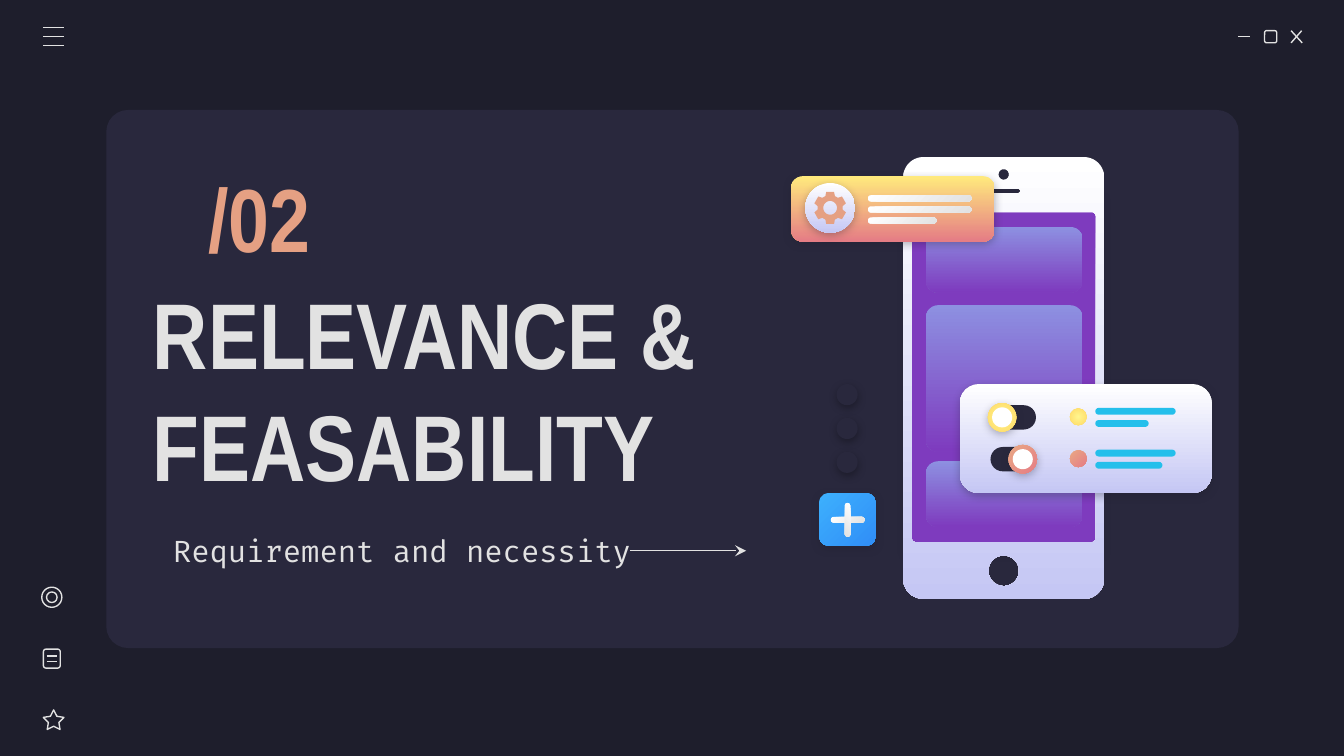
import math
from dataclasses import dataclass

import lxml.etree
import pptx
import pptx.dml.color
import pptx.enum.shapes
import pptx.enum.text
import pptx.oxml
import pptx.oxml.ns
import pptx.util

Cm, Pt = pptx.util.Cm, pptx.util.Pt
KIND = pptx.enum.shapes.MSO_SHAPE
ALIGN = pptx.enum.text.PP_ALIGN
NS = pptx.oxml.ns.nsdecls("a")
qn = pptx.oxml.ns.qn


@dataclass(frozen=True)
class Theme:
    back: str = "1E1E2C"
    panel: str = "29283D"
    light: str = "E2E2E2"
    accent: str = "E5A083"
    white: str = "FFFFFF"
    purple: str = "7E3BBE"
    cyan: str = "24BFEB"
    # Gradients: first colour, last colour, clockwise angle (None is radial)
    card: tuple = ("8D90E1", "7E3BBE", 90)
    pale: tuple = ("FFFFFF", "C5C7F4", 90)
    sunset: tuple = ("FFEA7D", "E57C85", 90)
    bar: tuple = ("FFFFFF", "E2E2E2", 45)
    yellow: tuple = ("FFF68E", "FFD966", None)
    coral: tuple = ("E9A984", "E57C85", 45)
    blue: tuple = ("3DB0FD", "308EF7", 45)
    heading: str = "Arial Narrow"
    mono: str = "Fira Code"
    title_size: float = 50
    number_size: float = 48
    subtitle_size: float = 16
    line_width: float = 0.75


def rgb(value):
    return pptx.dml.color.RGBColor.from_string(value)


def rounded_outline(left, top, width, height, radius):
    """Clockwise points of a rounded rectangle."""
    right, bottom = left + width - radius, top + height - radius
    left, top = left + radius, top + radius
    corners = [(left, top, 180), (right, top, 270), (right, bottom, 0), (left, bottom, 90)]
    return [(x + radius * math.cos(math.radians(start + turn)),
             y + radius * math.sin(math.radians(start + turn)))
            for x, y, start in corners for turn in range(0, 91, 9)]


def circle_outline(x, y, radius):
    return rounded_outline(x - radius, y - radius, 2 * radius, 2 * radius, radius)


def gear_outline(x, y, inner, outer, teeth=6):
    corners = [(-22, inner), (-14, outer), (14, outer), (22, inner)]
    points = []
    for tooth in range(teeth):
        for offset, radius in corners:
            angle = math.radians(tooth * 360 / teeth - 90 + offset)
            points.append((x + radius * math.cos(angle), y + radius * math.sin(angle)))
    return points


class SlidePainter:
    def __init__(self, slide, theme):
        self.slide, self.theme = slide, theme
        self.shapes = slide.shapes
        slide.background.fill.solid()
        slide.background.fill.fore_color.rgb = rgb(theme.back)

    def start_group(self):
        self.shapes = self.slide.shapes.add_group_shape().shapes

    def end_group(self):
        self.shapes = self.slide.shapes

    def paint(self, shape, fill=None, shadow=None):
        """Fill a shape; a shape without fill gets the thin light outline."""
        shape.shadow.inherit = False
        if fill is None:
            shape.fill.background()
            shape.line.color.rgb = rgb(self.theme.light)
            shape.line.width = Pt(self.theme.line_width)
            return shape
        shape.line.fill.background()
        if isinstance(fill, str):
            shape.fill.solid()
            shape.fill.fore_color.rgb = rgb(fill)
        else:
            *colors, angle = fill
            shape.fill.gradient()
            for stop, color in zip(shape.fill.gradient_stops, colors):
                stop.color.rgb = rgb(color)
            if angle is None:
                linear = shape.element.spPr.find(qn("a:gradFill")).find(qn("a:lin"))
                linear.getparent().replace(linear, pptx.oxml.parse_xml(
                    f'<a:path {NS} path="circle">'
                    '<a:fillToRect l="50000" t="50000" r="50000" b="50000"/></a:path>'))
            else:
                shape.fill.gradient_angle = 360 - angle
        if shadow:
            effects = shape.element.spPr.find(qn("a:effectLst"))
            effects.append(pptx.oxml.parse_xml(
                f'<a:outerShdw {NS} blurRad="{Pt(4.5)}" dist="{Pt(1.5)}" dir="5400000" '
                f'algn="bl" rotWithShape="0"><a:srgbClr val="{shadow}">'
                '<a:alpha val="30000"/></a:srgbClr></a:outerShdw>'))
        return shape

    def preset(self, kind, left, top, width, height, fill=None, shadow=None):
        shape = self.shapes.add_shape(kind, Cm(left), Cm(top), Cm(width), Cm(height))
        return self.paint(shape, fill, shadow)

    def rounded(self, left, top, width, height, radius, fill=None, shadow=None):
        shape = self.preset(KIND.ROUNDED_RECTANGLE, left, top, width, height, fill, shadow)
        shape.adjustments[0] = radius / min(width, height)
        return shape

    def pill(self, left, top, width, height, fill):
        return self.rounded(left, top, width, height, height / 2, fill)

    def circle(self, x, y, radius, fill=None, shadow=None):
        return self.preset(KIND.OVAL, x - radius, y - radius, 2 * radius, 2 * radius, fill, shadow)

    def cutout(self, outline, holes, fill):
        """Draw an outline with holes, which run the other way round."""
        builder = None
        for contour in [outline] + [hole[::-1] for hole in holes]:
            start, *rest = [(Cm(x), Cm(y)) for x, y in contour]
            if builder is None:
                builder = self.shapes.build_freeform(*start)
            else:
                builder.move_to(*start)
            builder.add_line_segments(rest, close=True)
        return self.paint(builder.convert_to_shape(), fill)

    def line(self, x1, y1, x2, y2, arrow=False):
        connector = self.shapes.add_connector(
            pptx.enum.shapes.MSO_CONNECTOR.STRAIGHT, Cm(x1), Cm(y1), Cm(x2), Cm(y2))
        connector.line.color.rgb = rgb(self.theme.light)
        connector.line.width = Pt(self.theme.line_width)
        properties = connector.element.spPr
        if arrow:
            lxml.etree.SubElement(properties.find(qn("a:ln")), qn("a:tailEnd"), type="stealth")
        lxml.etree.SubElement(properties, qn("a:effectLst"))

    def set_text(self, box, text, font, color, align=ALIGN.LEFT, indent=None):
        frame = box.text_frame
        frame_format = {"word_wrap": True, "auto_size": pptx.enum.text.MSO_AUTO_SIZE.NONE,
                        "vertical_anchor": pptx.enum.text.MSO_ANCHOR.MIDDLE}
        frame_format.update({f"margin_{side}": Cm(0.25)
                             for side in ("left", "top", "right", "bottom")})
        for name, value in frame_format.items():
            setattr(frame, name, value)
        para = frame.paragraphs[0]
        para.alignment = align
        if indent:
            for name, value in zip(("marL", "indent"), indent):
                para._p.get_or_add_pPr().set(name, str(Cm(value)))
        span = para.add_run()
        span.text = text
        for name, value in font.items():
            setattr(span.font, name, value)
        span.font.color.rgb = rgb(color)

    def title(self, left, top, width, height, *content):
        box = self.slide.shapes.title
        box.element.getparent().append(box.element)  # in front of the panel
        for name, value in zip(("left", "top", "width", "height"), (left, top, width, height)):
            setattr(box, name, Cm(value))
        self.set_text(box, *content)

    def text(self, left, top, width, height, *content):
        self.set_text(self.shapes.add_textbox(Cm(left), Cm(top), Cm(width), Cm(height)), *content)


def main():
    theme = Theme()
    deck = pptx.Presentation()
    deck.slide_width, deck.slide_height = Cm(25.4), Cm(14.29)
    page = SlidePainter(deck.slides.add_slide(deck.slide_layouts[5]), theme)

    # Panel
    page.rounded(2.01, 2.08, 21.4, 10.17, 0.41, theme.panel)

    # Window controls
    page.start_group()
    page.line(23.4, 0.69, 23.62, 0.69)
    page.rounded(23.9, 0.58, 0.23, 0.23, 0.04)
    page.line(24.4, 0.58, 24.61, 0.81)
    page.line(24.6, 0.58, 24.4, 0.81)

    # Menu
    page.start_group()
    for y in (0.52, 0.69, 0.86):
        page.line(0.82, y, 1.21, y)

    # Side icons: star, note, target
    page.start_group()
    page.preset(KIND.STAR_5_POINT, 0.82, 13.42, 0.39, 0.37).adjustments[0] = 0.254
    page.rounded(0.82, 12.27, 0.32, 0.36, 0.05)
    for y in (12.4, 12.5):
        page.line(0.88, y, 1.08, y)
    for radius in (0.19, 0.1):
        page.circle(0.98, 11.29, radius)
    page.end_group()

    # Heading, section number and subtitle
    heading = {"name": theme.heading, "bold": True}
    page.title(2.64, 5.26, 10.92, 4.17, "RELEVANCE & FEASABILITY",
               {**heading, "size": Pt(theme.title_size)}, theme.light)
    page.text(2.64, 2.92, 4.52, 2.34, "/02",
              {**heading, "size": Pt(theme.number_size)}, theme.accent, ALIGN.CENTER)
    page.text(2.64, 9.42, 10.13, 1.98, "Requirement and necessity",
              {"name": theme.mono, "size": Pt(theme.subtitle_size)},
              theme.light, ALIGN.LEFT, (1.27, -0.89))
    page.line(11.91, 10.41, 14.1, 10.41, arrow=True)

    # Phone: screen, cards, body
    page.start_group()
    page.rounded(17.12, 3.73, 3.71, 6.68, 0, theme.purple, theme.back)
    for top, height in ((4.29, 1.24), (5.77, 2.77), (8.72, 1.24)):
        page.rounded(17.5, top, 2.96, height, 0.23, theme.card)
    page.cutout(rounded_outline(17.07, 2.97, 3.8, 8.35, 0.38), [
        circle_outline(18.97, 3.3, 0.1),
        rounded_outline(18.66, 3.57, 0.62, 0.08, 0.04),
        rounded_outline(17.23, 4.01, 3.48, 6.24, 0.08),
        circle_outline(18.97, 10.79, 0.29)], theme.pale)

    # Banner with gear
    page.rounded(14.95, 3.33, 3.85, 1.24, 0.23, theme.sunset, theme.back)
    page.circle(15.69, 3.93, 0.47, theme.pale, theme.back)
    page.cutout(gear_outline(15.69, 3.93, 0.24, 0.31), [circle_outline(15.69, 3.93, 0.13)],
                theme.accent)
    for row, width in enumerate((1.96, 1.96, 1.3)):
        page.pill(16.4, 3.69 + 0.21 * row, width, 0.12, theme.bar)

    # Settings card: one toggle, dot and pair of bars per row
    page.rounded(18.14, 7.26, 4.76, 2.06, 0.36, theme.pale, theme.back)
    settings = ((18.94, theme.yellow, 1.01), (19.33, theme.coral, 1.27))
    for row, (knob, color, short) in enumerate(settings):
        middle = 7.89 + 0.79 * row
        page.pill(18.72, middle - 0.23, 0.86, 0.46, theme.panel)
        page.circle(knob, middle, 0.27, color, theme.back)
        page.circle(knob, middle, 0.19, theme.white)
        page.circle(20.38, middle - 0.01, 0.16, color)
        for offset, width in ((-0.18, 1.52), (0.05, short)):
            page.pill(20.7, middle + offset, width, 0.13, theme.cyan)

    # Plus button and dots
    page.rounded(15.48, 9.32, 1.07, 1, 0.18, theme.blue, theme.back)
    for angle in (0, 90):
        page.pill(15.7, 9.77, 0.64, 0.11, theme.bar).rotation = angle
    for row in range(3):
        page.circle(16.01, 7.46 + 0.64 * row, 0.2, theme.panel, "000000")

    deck.save("out.pptx")


if __name__ == "__main__":
    main()
